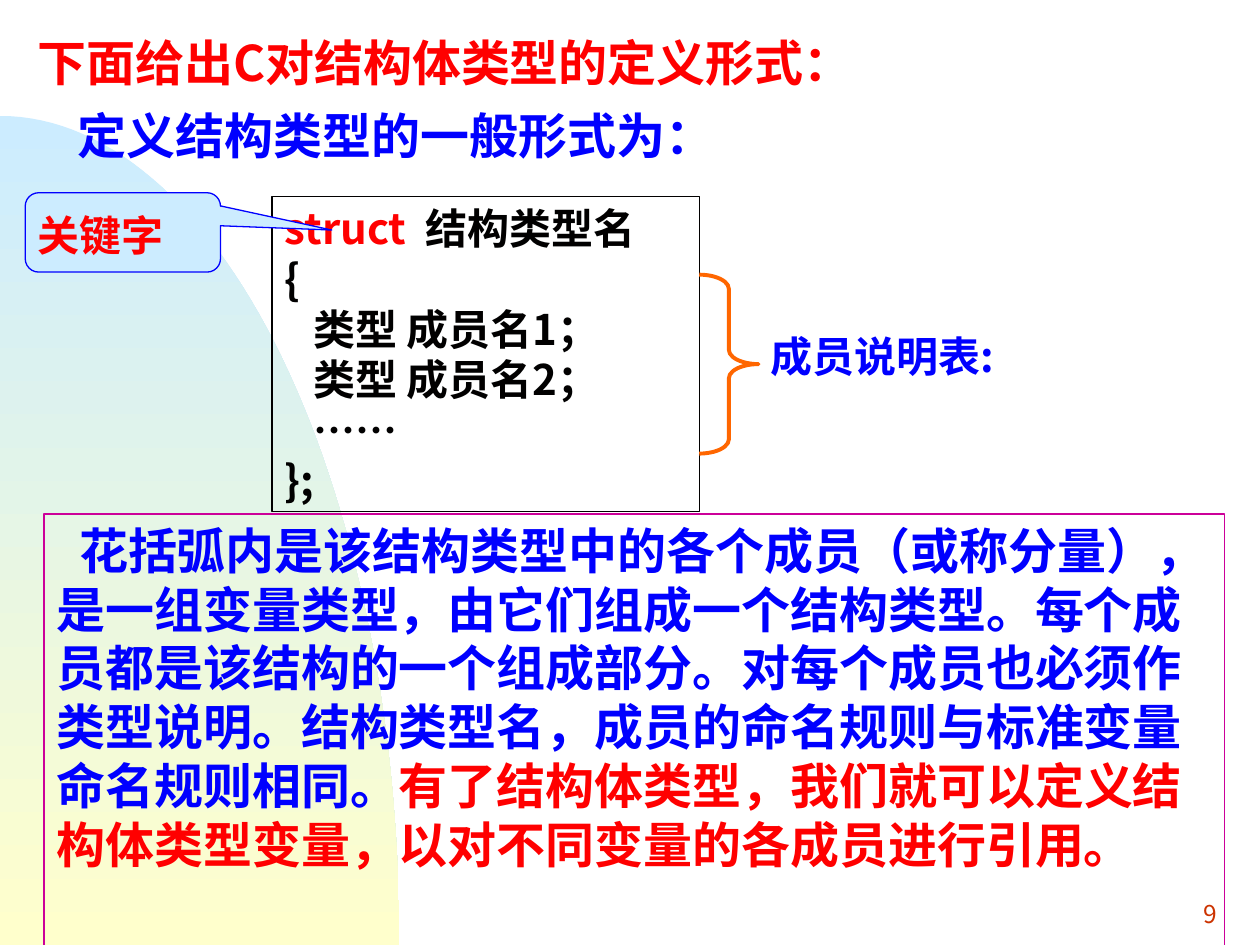
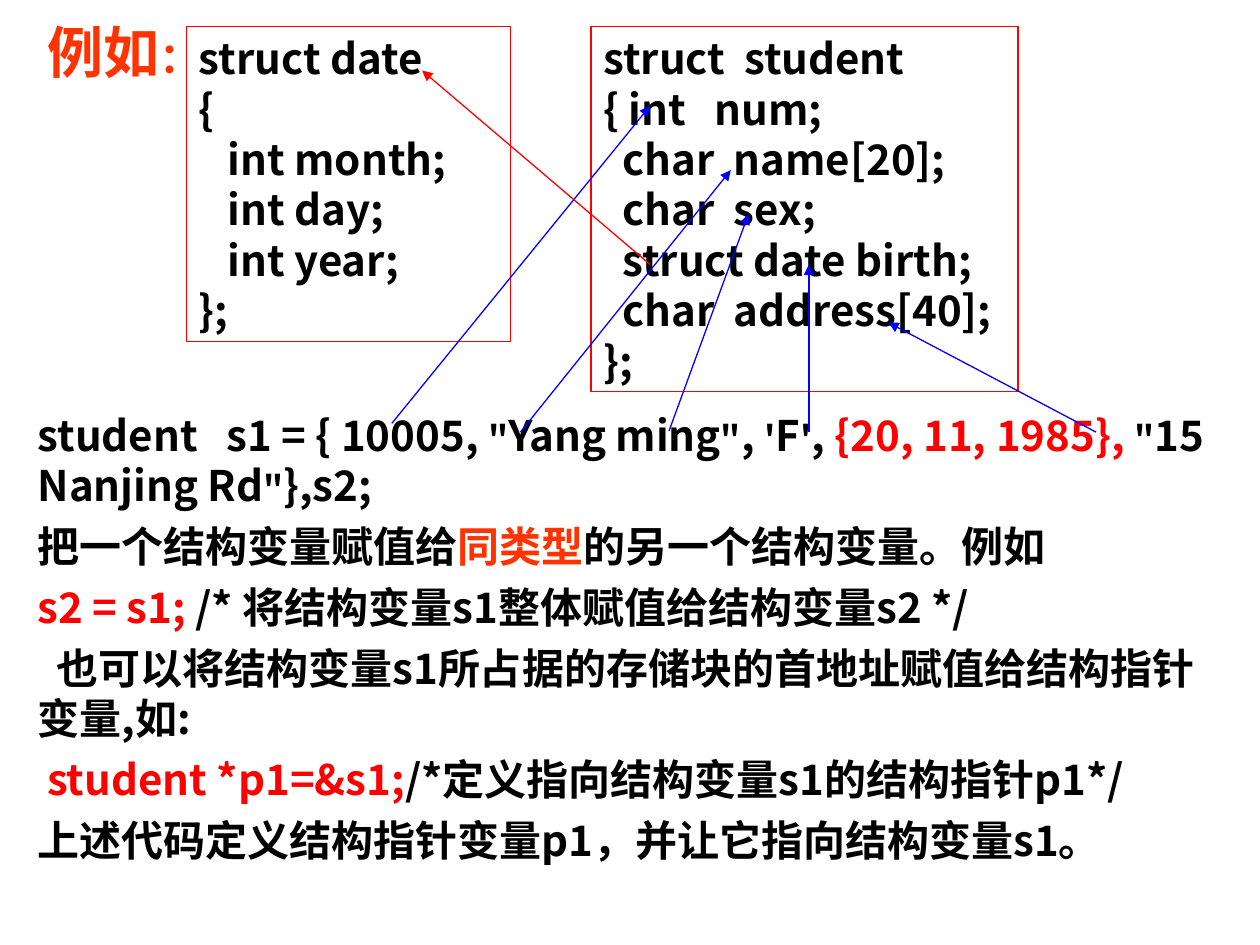
"""Two slides on defining and using C structures."""
from itertools import groupby
from math import cos, pi, sin

from lxml import etree
from pptx import Presentation
from pptx.dml.color import RGBColor
from pptx.enum.shapes import MSO_CONNECTOR, MSO_SHAPE
from pptx.enum.text import MSO_ANCHOR, PP_ALIGN
from pptx.oxml.ns import qn
from pptx.util import Inches, Pt

RECT = MSO_SHAPE.RECTANGLE
BRACE = MSO_SHAPE.RIGHT_BRACE
CALLOUT = MSO_SHAPE.ROUNDED_RECTANGULAR_CALLOUT
STRAIGHT = MSO_CONNECTOR.STRAIGHT
TOP, MIDDLE = MSO_ANCHOR.TOP, MSO_ANCHOR.MIDDLE
LEFT, RIGHT = PP_ALIGN.LEFT, PP_ALIGN.RIGHT

FONT = "Noto Sans CJK SC"
BLACK, RED, BLUE, FLAME = "010000", "FF0000", "0000FF", "FF3300"
RUST, ORANGE, PINK = "CC3300", "FF6600", "CC0099"
SKY, CREAM = "CCECFF", "FFFFCC"
QUOTES = "\"'"

DATE = ["struct date", "{", "   int month;", "   int day;", "   int year;", "};"]
STUDENT = ["struct  student", "{ int   num;", "  char  name[20];", "  char  sex;",
           "  struct date birth;", "  char  address[40];", "};"]
FORM = [[("struct  ", RED), ("结构类型名", BLACK)], "{", "   类型 成员名1；",
        "   类型 成员名2；", "   ……", "};"]
RULES = [[("花括弧内是该结构类型中的各个成员（或称分量），是一组变量类型，"
           "由它们组成一个结构类型。每个成员都是该结构的一个组成部分。"
           "对每个成员也必须作类型说明。结构类型名，成员的命名规则与标准变量命名规则相同。", BLUE),
          ("有了结构体类型，我们就可以定义结构体类型变量，以对不同变量的各成员进行引用。", RED)]]
USAGE = [
    [("student   s1 = { 10005, \"Yang ming\", 'F', ", BLACK),
     ("{20, 11, 1985}, ", RED), ("\"15 Nanjing Rd\"},s2;", BLACK)],
    [("把一个结构变量赋值给", BLACK), ("同类型", FLAME), ("的另一个结构变量。例如", BLACK)],
    [("s2 = s1;", RED), (" /* 将结构变量s1整体赋值给结构变量s2 */", BLACK)],
    "也可以将结构变量s1所占据的存储块的首地址赋值给结构指针变量,如:",
    [(" student *p1=&s1;", RED), ("/*定义指向结构变量s1的结构指针p1*/", BLACK)],
    "上述代码定义结构指针变量p1，并让它指向结构变量s1。",
]
LINKS = [(3.11, 3.36, 5.16, 0.84), (5.31, 3.42, 5.94, 1.7), (6.42, 3.43, 6.42, 2.1),
         (8.7, 3.43, 7.05, 2.56), (4.13, 3.43, 5.8, 1.35)]


def rgb(code):
    """Turn a hex string into a colour."""
    return RGBColor.from_string(code)


def inches(*sizes):
    """Turn numbers into lengths."""
    return [Inches(size) for size in sizes]


def add_run(para, text, color, size, bold):
    """Add one run with its font for Latin and Chinese text."""
    run = para.add_run()
    run.text = text
    font = run.font
    font.name, font.size, font.bold = FONT, Pt(size), bold
    font.color.rgb = rgb(color)
    etree.SubElement(font._element, qn("a:ea"), typeface=FONT)


def write(shape, paras, color=BLACK, size=24, bold=True, align=LEFT,
          anchor=TOP, wrap=True, gap=0, indents=None):
    """Fill a shape with paragraphs, given as strings or (text, colour) runs."""
    frame = shape.text_frame
    frame.word_wrap, frame.vertical_anchor = wrap, anchor
    for row, runs in enumerate(paras):
        para = frame.paragraphs[0] if row == 0 else frame.add_paragraph()
        para.alignment = align
        if row and gap:
            para.space_before = Pt(gap)
        if indents and row in indents:
            para._p.get_or_add_pPr().set("indent", str(Inches(indents[row])))
        for text, tint, *own in [(runs, color)] if isinstance(runs, str) else runs:
            for quote, part in groupby(text, lambda sign: sign in QUOTES):
                points = 20 if quote else own[0] if own else size
                add_run(para, "".join(part), tint, points, bold)


def label(slide, box, paras, **style):
    """Add a plain text box."""
    write(slide.shapes.add_textbox(*inches(*box)), paras, **style)


def add_form(slide, kind, box, line, fill=None, width=0.75, adjust=()):
    """Add a preset shape with an outline and perhaps a fill."""
    shape = slide.shapes.add_shape(kind, *inches(*box))
    shape.shadow.inherit = False
    shape.line.color.rgb, shape.line.width = rgb(line), Pt(width)
    if fill:
        shape.fill.solid()
        shape.fill.fore_color.rgb = rgb(fill)
    else:
        shape.fill.background()
    for spot, value in enumerate(adjust):
        shape.adjustments[spot] = value
    return shape


def framed(slide, box, line, paras, **style):
    """Add an outlined box of text."""
    write(add_form(slide, RECT, box, line), paras, **style)


def arrow(slide, ends, color):
    """Add a straight arrow from the first point to the second."""
    link = slide.shapes.add_connector(STRAIGHT, *inches(*ends))
    link.line.color.rgb, link.line.width = rgb(color), Pt(0.75)
    etree.SubElement(link.line._get_or_add_ln(), qn("a:tailEnd"), type="triangle")
    etree.SubElement(link._element.spPr, qn("a:effectLst"))


def add_arc(slide, wide, tall, base, steps=60):
    """Add a shaded quarter ellipse in the lower left corner."""
    turns = [pi / 2 * step / steps for step in range(steps + 1)]
    points = [inches(wide * sin(turn), base - tall * cos(turn)) for turn in turns]
    build = slide.shapes.build_freeform(0, Inches(base))
    build.add_line_segments(points, close=True)
    shape = build.convert_to_shape()
    shape.shadow.inherit = False
    shape.line.fill.background()
    shape.fill.gradient()
    shape.fill.gradient_angle = 270
    for stop, color, place in zip(shape.fill.gradient_stops, (SKY, CREAM), (0, 1)):
        stop.color.rgb, stop.position = rgb(color), place


def show_form(slide):
    """Build the slide on the general form of a structure type."""
    add_arc(slide, 3.17, 6.58, 7.5)
    label(slide, (7.68, 7, 2.08, 0.5), ["9"], color=RUST, size=14, bold=False,
          align=RIGHT, anchor=MIDDLE, wrap=False)
    label(slide, (0.2, 0.21, 8.5, 0.57), ["下面给出C对结构体类型的定义形式："],
          color=RED, size=28)
    label(slide, (0.52, 0.79, 5.25, 0.57), ["定义结构类型的一般形式为："],
          color=BLUE, size=28, wrap=False)
    framed(slide, (2.16, 1.56, 3.39, 2.5), BLACK, FORM)
    framed(slide, (0.35, 4.08, 9.37, 3.47), PINK, RULES, size=28, indents={0: 0.18})
    add_form(slide, BRACE, (5.55, 2.18, 0.47, 1.42), ORANGE, width=2.25,
             adjust=(0.24, 0.5))
    label(slide, (6.02, 2.57, 2.28, 1.11), ["成员说明表:"], color=BLUE)
    add_form(slide, CALLOUT, (0.2, 1.53, 1.55, 0.63), BLUE, fill=SKY,
             adjust=(1.07, -0.03, 0.17))
    label(slide, (0.2, 1.61, 1.65, 0.5), ["关键字"], color=RED)


def show_case(slide):
    """Build the slide with the date and student example."""
    label(slide, (0.2, 3.2, 9.53, 3.79), USAGE, gap=6, indents={3: 0.15})
    framed(slide, (4.69, 0.21, 3.39, 2.9), RED, STUDENT)
    framed(slide, (1.48, 0.21, 2.57, 2.5), RED, DATE)
    label(slide, (0.28, 0.09, 1.42, 0.64), [[("例如", FLAME), ("：", FLAME, 24)]],
          size=32, wrap=False)
    for ends in LINKS:
        arrow(slide, ends, BLUE)
    arrow(slide, (5.16, 2.1, 3.35, 0.56), RED)


def main():
    """Build and save the slides."""
    deck = Presentation()
    deck.slide_width, deck.slide_height = inches(10, 7.5)
    for show in (show_form, show_case):
        show(deck.slides.add_slide(deck.slide_layouts[6]))
    deck.save("out.pptx")


if __name__ == "__main__":
    main()
